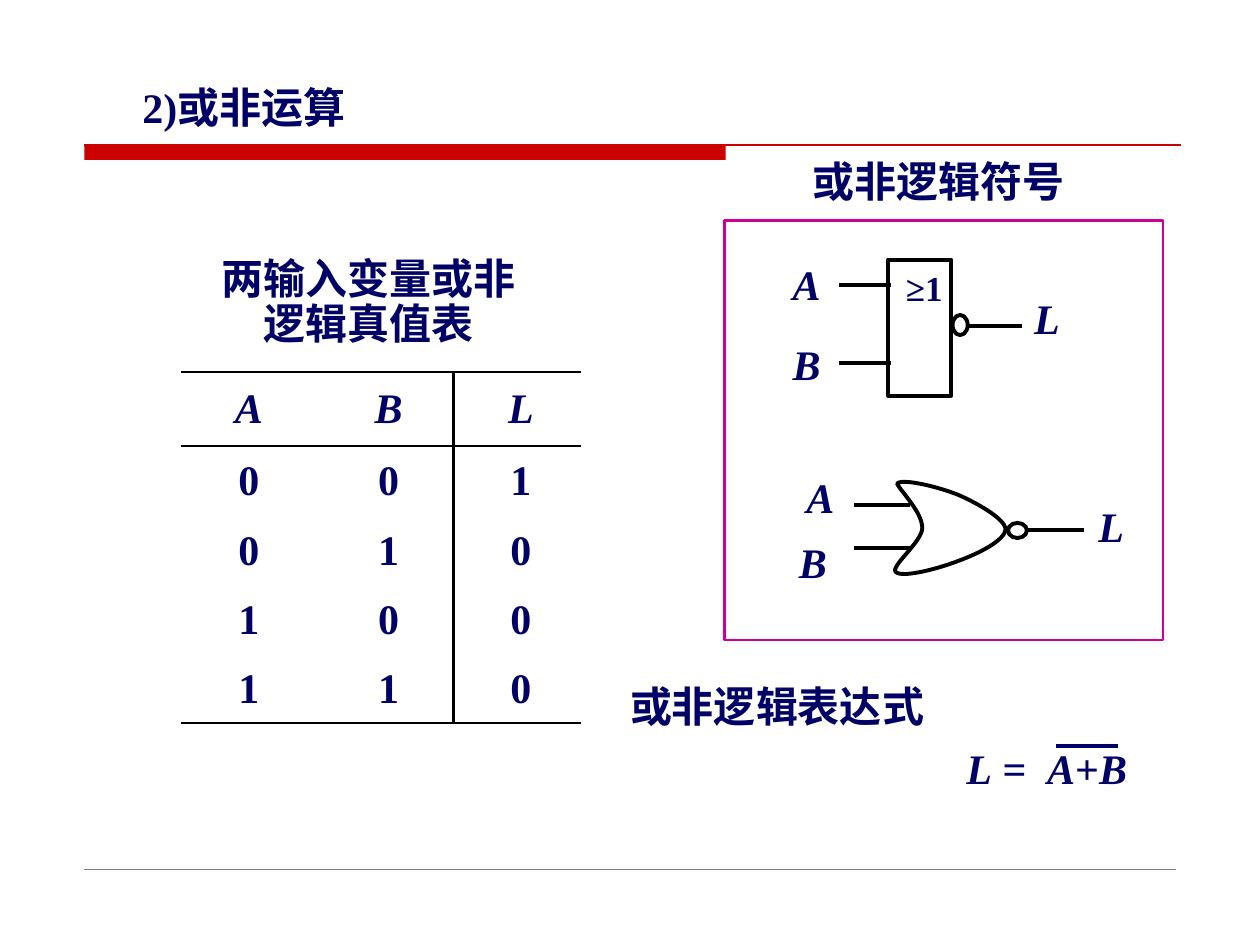
from dataclasses import dataclass

from lxml.etree import SubElement
from pptx import Presentation
from pptx.dml.color import RGBColor
from pptx.enum.shapes import MSO_CONNECTOR, MSO_SHAPE
from pptx.enum.text import MSO_ANCHOR as Anchor, PP_ALIGN as Align
from pptx.oxml import parse_xml
from pptx.oxml.ns import nsdecls, qn
from pptx.util import Inches, Pt

NO_STYLE_NO_GRID = "{2D5ABB26-0587-4C30-8999-92F81FD0307C}"


@dataclass
class Theme:
    font: str = "Times New Roman"
    text: str = "000066"
    ink: str = "000000"
    accent: str = "CC0000"
    frame: str = "CC0099"
    footer: str = "808080"
    body: int = 24
    small: int = 20
    thin: float = 0.25
    hairline: float = 0.75
    rule: float = 1.5
    wire: float = 2.25


def bezier(start, control1, control2, end, steps=16):
    """Points along a cubic curve, without its start."""
    for step in range(1, steps + 1):
        t = step / steps
        u = 1 - t
        weights = (u**3, 3 * u * u * t, 3 * u * t * t, t**3)
        yield tuple(
            sum(w * p for w, p in zip(weights, axis))
            for axis in zip(start, control1, control2, end)
        )


class SlideBuilder:
    def __init__(self, slide, theme):
        self.slide = slide
        self.theme = theme

    def style_run(self, run, size=None, italic=False):
        font = run.font
        font.name, font.size = self.theme.font, Pt(size or self.theme.body)
        font.bold, font.italic = True, italic
        font.color.rgb = RGBColor.from_string(self.theme.text)

    def style_frame(self, frame, size=None, italic=False, align=Align.CENTER, spacing=0.9):
        for paragraph in frame.paragraphs:
            paragraph.alignment, paragraph.line_spacing = align, spacing
            for run in paragraph.runs:
                self.style_run(run, size, italic)

    def title(self, text, left, top, width, height):
        title = self.slide.shapes.title
        title.left, title.top = Inches(left), Inches(top)
        title.width, title.height = Inches(width), Inches(height)
        frame = title.text_frame
        frame.text = text
        frame.word_wrap, frame.vertical_anchor = True, Anchor.MIDDLE
        self.style_frame(frame, align=Align.LEFT, spacing=1.0)

    def label(self, text, left, top, width, height=0.36, **style):
        box = self.slide.shapes.add_textbox(*map(Inches, (left, top, width, height)))
        frame = box.text_frame
        frame.margin_left = frame.margin_right = frame.margin_top = frame.margin_bottom = 0
        frame.word_wrap = True
        frame.text = text
        self.style_frame(frame, **style)
        return frame

    def line(self, x1, y1, x2, y2, weight=None, color=None):
        line = self.slide.shapes.add_connector(
            MSO_CONNECTOR.STRAIGHT, *map(Inches, (x1, y1, x2, y2)))
        line.line.width = Pt(weight or self.theme.wire)
        line.line.color.rgb = RGBColor.from_string(color or self.theme.ink)
        SubElement(line._element.spPr, qn("a:effectLst"))

    def outline(self, shape, weight=None, color=None):
        shape.shadow.inherit = False
        shape.fill.background()
        shape.line.width = Pt(weight or self.theme.wire)
        shape.line.color.rgb = RGBColor.from_string(color or self.theme.ink)

    def shape(self, kind, left, top, width, height, weight=None, color=None):
        shape = self.slide.shapes.add_shape(kind, *map(Inches, (left, top, width, height)))
        self.outline(shape, weight, color)
        return shape

    def curve(self, start, segments):
        points, current = [], start
        for control1, control2, end in segments:
            points += bezier(current, control1, control2, end)
            current = end
        builder = self.slide.shapes.build_freeform(*map(Inches, start))
        builder.add_line_segments([(Inches(x), Inches(y)) for x, y in points], close=True)
        self.outline(builder.convert_to_shape())

    def borders(self, cell, rules):
        """Draw or clear each side; rules are in the order L, R, T, B."""
        properties = cell._tc.get_or_add_tcPr()
        ink = f'<a:solidFill><a:srgbClr val="{self.theme.ink}"/></a:solidFill>'
        for index, (side, drawn) in enumerate(rules.items()):
            width = Pt(self.theme.rule) if drawn else 0
            properties.insert(index, parse_xml(
                f'<a:ln{side} {nsdecls("a")} w="{width}">'
                f'{ink if drawn else "<a:noFill/>"}</a:ln{side}>'))

    def truth_table(self, rows, left, top, widths, heights):
        table = self.slide.shapes.add_table(
            len(rows), len(widths), Inches(left), Inches(top),
            Inches(sum(widths)), Inches(sum(heights))).table
        table.first_row = table.horz_banding = False
        table._tbl.tblPr.find(qn("a:tableStyleId")).text = NO_STYLE_NO_GRID
        for column, width in zip(table.columns, widths):
            column.width = Inches(width)
        last_row, last_column = len(rows) - 1, len(widths) - 1
        for r, values in enumerate(rows):
            table.rows[r].height = Inches(heights[r])
            for c, value in enumerate(values):
                cell = table.cell(r, c)
                cell.text = value
                cell.margin_left = Inches(0.06 if c else 0)
                cell.margin_top = Inches(0.04)
                cell.margin_right = cell.margin_bottom = 0
                cell.vertical_anchor = Anchor.MIDDLE
                cell.fill.background()
                self.style_frame(cell.text_frame, italic=r == 0)
                self.borders(cell, {"L": c == last_column, "R": c == last_column - 1,
                                    "T": r in (0, 1), "B": r in (0, last_row)})


def main():
    deck = Presentation()
    deck.slide_width, deck.slide_height = Inches(10), Inches(7.5)
    theme = Theme()
    page = SlideBuilder(deck.slides.add_slide(deck.slide_layouts[5]), theme)

    # Title, red bar and footer rule
    page.title("2)或非运算", 1.03, 0.6, 2.5, 0.5)
    bar = page.shape(MSO_SHAPE.RECTANGLE, 0.67, 1.15, 5.09, 0.12)
    bar.fill.solid()
    bar.fill.fore_color.rgb = RGBColor.from_string(theme.accent)
    bar.line.fill.background()
    page.line(0.67, 1.15, 9.37, 1.15, theme.hairline, theme.accent)
    page.line(0.67, 6.9, 9.33, 6.9, theme.thin, theme.footer)

    # Truth table
    page.label("两输入变量或非\n逻辑真值表", 1.44, 2.05, 2.97, 0.72)
    inputs = [(a, b) for a in (0, 1) for b in (0, 1)]
    rows = [("A", "B", "L")] + [(str(a), str(b), str(int(not (a or b)))) for a, b in inputs]
    page.truth_table(rows, 1.44, 2.95, (1.07, 1.09, 1.01), [0.59] + [0.55] * len(inputs))

    # Frame of the logic symbols
    page.label("或非逻辑符号", 6.18, 1.28, 2.54)
    page.shape(MSO_SHAPE.RECTANGLE, 5.75, 1.75, 3.48, 3.33, theme.rule, theme.frame)

    # Pin names of both symbols
    for pin, left, top in (("A", 6.29, 2.1), ("B", 6.29, 2.73), ("L", 8.2, 2.37),
                           ("A", 6.4, 3.79), ("B", 6.34, 4.3), ("L", 8.71, 4.02)):
        page.label(pin, left, top, 0.22, italic=True)

    # Rectangular symbol
    page.shape(MSO_SHAPE.RECTANGLE, 7.05, 2.06, 0.5, 1.08)
    page.label("≥1", 7.09, 2.15, 0.49, 0.3, size=theme.small)
    page.shape(MSO_SHAPE.OVAL, 7.56, 2.5, 0.12, 0.16)

    # Curved symbol
    page.curve((7.12, 3.84), [
        ((7.15, 3.79), (7.47, 3.87), (7.61, 3.93)),
        ((7.75, 3.99), (7.98, 4.12), (7.98, 4.2)),
        ((7.98, 4.29), (7.75, 4.4), (7.61, 4.45)),
        ((7.46, 4.51), (7.16, 4.59), (7.11, 4.54)),
        ((7.06, 4.5), (7.32, 4.3), (7.32, 4.19)),
        ((7.32, 4.07), (7.16, 3.91), (7.12, 3.84)),
    ])
    page.shape(MSO_SHAPE.OVAL, 8, 4.15, 0.15, 0.12)

    # Wires of both symbols
    for start, end, y in ((6.66, 7.07, 2.26), (6.66, 7.07, 2.88), (7.67, 8.11, 2.59),
                          (6.78, 7.22, 4.01), (6.78, 7.24, 4.35), (8.15, 8.6, 4.21)):
        page.line(start, y, end, y)

    # Logic expression, with the negation bar over A+B
    page.label("或非逻辑表达式", 5, 5.4, 2.61, 0.4, align=Align.LEFT, spacing=1.0)
    expression = page.label("", 7.67, 5.89, 2.01, 0.4, align=Align.LEFT, spacing=1.0)
    formula = expression.paragraphs[0]
    tabs = SubElement(formula._p.get_or_add_pPr(), qn("a:tabLst"))
    SubElement(tabs, qn("a:tab"), pos=str(Inches(0.64)), algn="l")
    for part in ("L", " =\t", "A", "+", "B"):
        run = formula.add_run()
        run.text = part
        page.style_run(run, italic=part.isalpha())
    page.line(8.38, 5.92, 8.87, 5.92, color=theme.text)

    deck.save("out.pptx")


if __name__ == "__main__":
    main()
